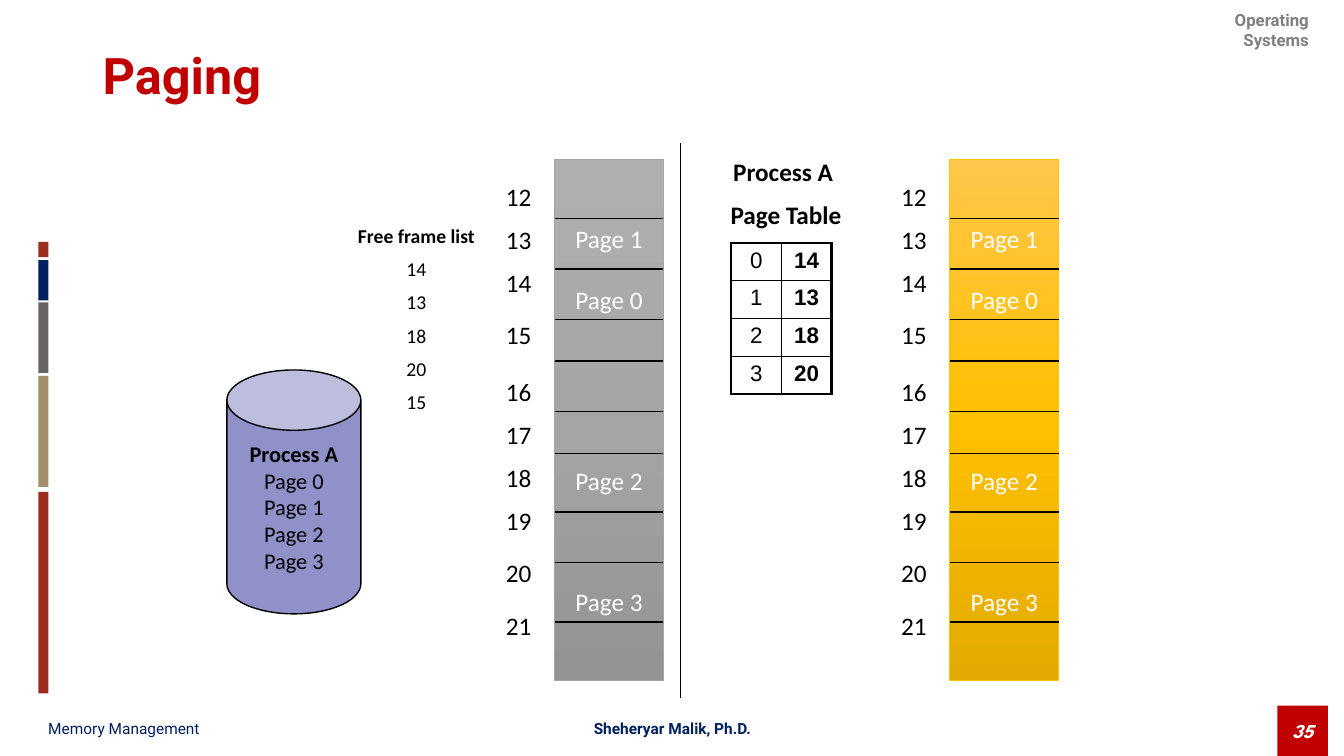
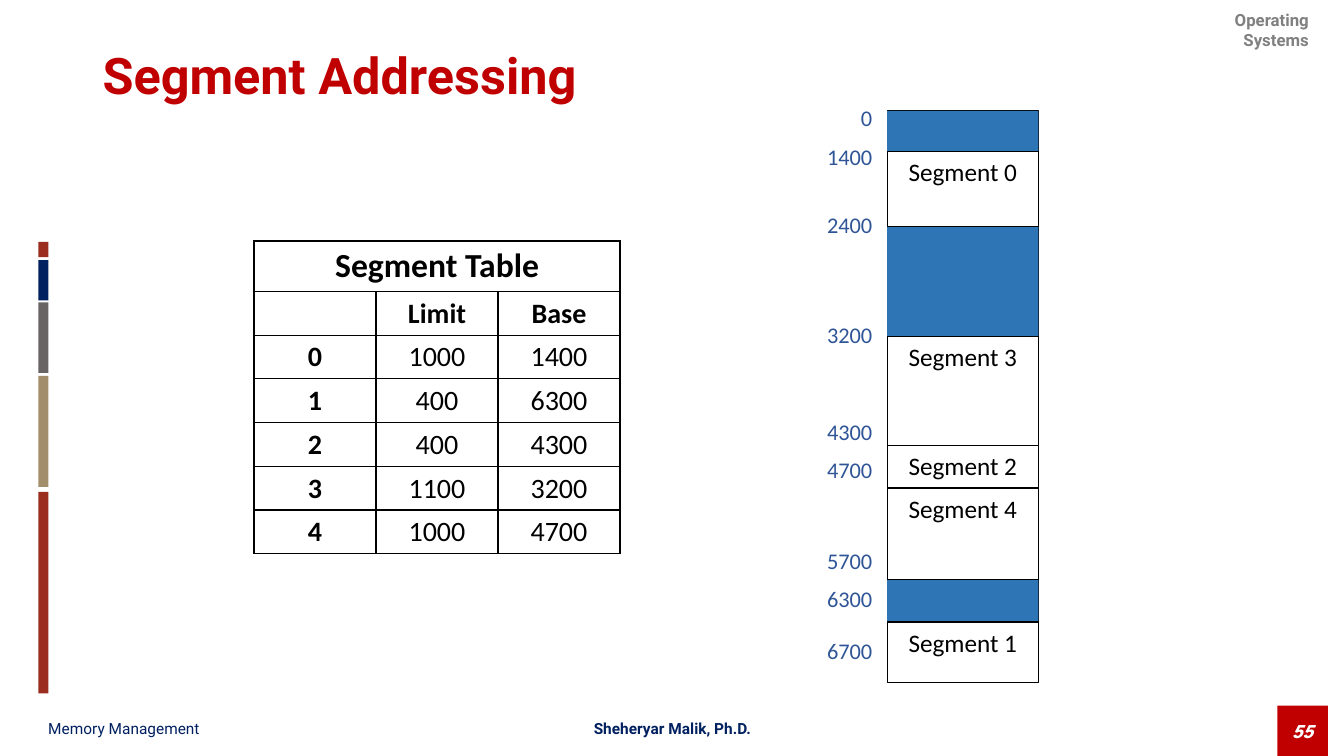
import copy

import pptx
import pptx.dml.color
import pptx.enum.shapes
import pptx.enum.text
import pptx.oxml
import pptx.oxml.ns
import pptx.util

PX = 9144
COLORS = {
    "black": "000000", "white": "FFFFFF", "red": "C00000", "navy": "002060",
    "header": "808080", "rust": "9B2D1F", "tan": "A28E6A", "slate": "696464",
    "disk": "9191C9", "hole": "2E75B6", "address": "2F5597",
    "gray_top": "AFAFAF", "gray": "A5A5A5", "gray_bottom": "939393",
    "gold_top": "FFC64B", "gold": "FFC000", "gold_bottom": "E3AB00",
}
ALIGN = pptx.enum.text.PP_ALIGN
ANCHOR = pptx.enum.text.MSO_ANCHOR
SHAPE = pptx.enum.shapes.MSO_SHAPE
qn = pptx.oxml.ns.qn

SIDE_BARS = [(240, 15, "rust"), (258, 40, "navy"), (300, 70, "slate"),
             (373, 110, "tan"), (488, 200, "rust")]
MEMORY_TOP, MEMORY_HEIGHT, MEMORY_WIDTH = 158, 517, 108
FRAME_EDGES = [217, 267, 317, 358, 408, 450, 508, 558, 617]
FRAME_NUMBERS = [("12", 195), ("13", 238), ("14", 280), ("15", 332), ("16", 388),
                 ("17", 431), ("18", 474), ("19", 516), ("20", 568), ("21", 620)]
LOADED_PAGES = [("Page 1", 237), ("Page 0", 297), ("Page 2", 477), ("Page 3", 597)]
PAGE_TABLE = [("0", "14"), ("1", "13"), ("2", "18"), ("3", "20")]
STACK_LEFT, STACK_WIDTH = 880, 150
SEGMENTS = [("", 110, 150), ("Segment 0", 150, 225), ("", 225, 334),
            ("Segment 3", 334, 442), ("Segment 2", 442, 484),
            ("Segment 4", 484, 575), ("", 575, 617), ("Segment 1", 617, 677)]
ADDRESSES = [("0", 117), ("1400", 155), ("2400", 223), ("3200", 332), ("4300", 428),
             ("4700", 466), ("5700", 556), ("6300", 594), ("6700", 645)]
SEGMENT_TABLE = [("Segment Table", "", ""), ("", "Limit", "Base"),
                 ("0", "1000", "1400"), ("1", "400", "6300"), ("2", "400", "4300"),
                 ("3", "1100", "3200"), ("4", "1000", "4700")]


def px(*lengths):
    return [pptx.util.Emu(n * PX) for n in lengths]


def rgb(name):
    return pptx.dml.color.RGBColor.from_string(COLORS[name])


def write(tf, text, size=18, font="Calibri", color="black", bold=False,
          heading=False, italic=False, align=ALIGN.LEFT, gap=0, spacing=None):
    for i, line in enumerate(text.split("\n")):
        p = tf.paragraphs[0] if i == 0 else tf.add_paragraph()
        p.alignment = align
        p.line_spacing = spacing
        if i and gap:
            p.space_before = pptx.util.Pt(gap)
        r = p.add_run()
        r.text = line
        r.font.name = font
        r.font.size = pptx.util.Pt(size)
        r.font.bold = bold or (heading and i == 0)
        r.font.italic = italic
        r.font.color.rgb = rgb(color)


def add_text(s, x, y, w, h, text, anchor=ANCHOR.TOP, **fmt):
    tf = s.shapes.add_textbox(*px(x, y, w, h)).text_frame
    tf.word_wrap = True
    tf.vertical_anchor = anchor
    write(tf, text, **fmt)


def add_labels(s, x, w, labels, **fmt):
    for text, center in labels:
        add_text(s, x, center - 20, w, 40, text, anchor=ANCHOR.MIDDLE, **fmt)


def add_box(s, x, y, w, h, fill=None, line=None, weight=1, kind=SHAPE.RECTANGLE,
            text="", **fmt):
    sp = s.shapes.add_shape(kind, *px(x, y, w, h))
    sp.shadow.inherit = False
    if fill:
        sp.fill.solid()
        sp.fill.fore_color.rgb = rgb(fill)
    if line:
        sp.line.color.rgb = rgb(line)
        sp.line.width = pptx.util.Pt(weight)
    else:
        sp.line.fill.background()
    if text:
        tf = sp.text_frame
        tf.word_wrap = False
        tf.vertical_anchor = ANCHOR.MIDDLE
        write(tf, text, align=ALIGN.CENTER, **fmt)
    return sp


def add_line(s, x1, y1, x2, y2):
    ln = s.shapes.add_connector(pptx.enum.shapes.MSO_CONNECTOR.STRAIGHT,
                                *px(x1, y1, x2, y2))
    ln.line.color.rgb = rgb("black")
    ln.line.width = pptx.util.Pt(1)
    ln._element.spPr.append(pptx.oxml.parse_xml(
        f'<a:effectLst {pptx.oxml.ns.nsdecls("a")}/>'))


def shade(sp, names):
    sp.fill.gradient()
    sp.fill.gradient_angle = 270
    stops = sp._element.spPr.find(".//" + qn("a:gsLst"))
    stops.append(copy.deepcopy(stops[0]))
    for stop, name, position in zip(sp.fill.gradient_stops, names, (0, 0.5, 1)):
        stop.color.rgb = rgb(name)
        stop.position = position


def set_borders(cell, weights):
    tcPr = cell._tc.get_or_add_tcPr()
    for i, (side, weight) in enumerate(zip("LRTB", weights)):
        tcPr.insert(i, pptx.oxml.parse_xml(
            f'<a:ln{side} {pptx.oxml.ns.nsdecls("a")} w="{pptx.util.Pt(weight)}">'
            f'<a:solidFill><a:srgbClr val="{COLORS["black"]}"/></a:solidFill>'
            f'</a:ln{side}>'))


def add_grid(s, x, y, col_width, row_heights, rows, cell_format, outer=1):
    n_rows, n_cols = len(rows), len(rows[0])
    tbl = s.shapes.add_table(n_rows, n_cols, *px(
        x, y, col_width * n_cols, sum(row_heights))).table
    tbl.first_row = tbl.horz_banding = False
    for col in tbl.columns:
        col.width = px(col_width)[0]
    for i, (row, height) in enumerate(zip(rows, row_heights)):
        tbl.rows[i].height = px(height)[0]
        for j, text in enumerate(row):
            cell = tbl.cell(i, j)
            cell.fill.background()
            cell.vertical_anchor = ANCHOR.TOP
            edges = (j == 0, j == n_cols - 1, i == 0, i == n_rows - 1)
            set_borders(cell, [outer if edge else 1 for edge in edges])
            if text:
                write(cell.text_frame, text, align=ALIGN.CENTER, **cell_format(i, j))
    return tbl


def add_slide(prs, title, number):
    s = prs.slides.add_slide(prs.slide_layouts[6])
    for y, height, color in SIDE_BARS:
        add_box(s, 38, y, 10, height, fill=color)
    add_text(s, 1208, 5, 100, 50, "Operating Systems", size=12, font="Roboto",
             color="header", bold=True, align=ALIGN.RIGHT)
    add_text(s, 92, 5, 1150, 145, title, anchor=ANCHOR.MIDDLE, size=36,
             font="Roboto", color="red", bold=True, spacing=0.9)
    footer = {"anchor": ANCHOR.MIDDLE, "size": 11, "font": "Roboto", "color": "navy"}
    add_text(s, 38, 706, 440, 33, "Memory Management", **footer)
    add_text(s, 447, 706, 440, 33, "Sheheryar Malik, Ph.D.", bold=True,
             align=ALIGN.CENTER, **footer)
    add_box(s, 1267, 700, 50, 50, fill="red", text=number, size=14,
            font="League Spartan", color="white", bold=True, italic=True)
    return s


def add_memory(s, x, tint):
    add_labels(s, x - 58, 50, FRAME_NUMBERS)
    bar = add_box(s, x, MEMORY_TOP, MEMORY_WIDTH, MEMORY_HEIGHT, line=tint, weight=0.5)
    shade(bar, (tint + "_top", tint, tint + "_bottom"))
    for y in FRAME_EDGES:
        add_line(s, x, y, x + MEMORY_WIDTH, y)
    add_labels(s, x, MEMORY_WIDTH, LOADED_PAGES, color="white", align=ALIGN.CENTER)


def add_segment_stack(s):
    top, bottom = SEGMENTS[0][1], SEGMENTS[-1][2]
    add_box(s, STACK_LEFT, top, STACK_WIDTH, bottom - top, fill="white", line="black")
    for name, start, end in SEGMENTS:
        area = (STACK_LEFT, start, STACK_WIDTH, end - start)
        if name:
            add_text(s, *area, name, align=ALIGN.CENTER)
        else:
            add_box(s, *area, fill="hole")
    for _, start, _ in SEGMENTS[1:]:
        add_line(s, STACK_LEFT, start, STACK_LEFT + STACK_WIDTH, start)


def build_paging(prs):
    s = add_slide(prs, "Paging", "35")
    add_box(s, 225, 367, 133, 242, fill="disk", line="black", kind=SHAPE.CAN,
            text="Process A\nPage 0\nPage 1\nPage 2\nPage 3", size=16,
            heading=True).adjustments[0] = 0.45
    add_line(s, 675, 142, 675, 692)
    add_text(s, 317, 217, 192, 210, "Free frame list\n14\n13\n18\n20\n15", size=14,
             heading=True, align=ALIGN.CENTER, gap=7)
    add_memory(s, 550, "gray")
    add_memory(s, 942, "gold")
    add_text(s, 692, 150, 175, 80, "Process A \nPage Table", bold=True,
             align=ALIGN.CENTER, gap=9)
    add_grid(s, 725, 241, 50, [37, 38, 38, 37], PAGE_TABLE, outer=2.25,
             cell_format=lambda i, j: {"size": 16, "font": "Arial", "bold": j == 1})


def build_segments(prs):
    s = add_slide(prs, "Segment Addressing", "55")
    add_segment_stack(s)
    add_labels(s, 775, 100, ADDRESSES, size=16, color="address", align=ALIGN.RIGHT)
    tbl = add_grid(s, 252, 239, 121, [50] + [43] * 6, SEGMENT_TABLE,
                   cell_format=lambda i, j: {"size": 20 if i else 24,
                                             "bold": i < 2 or j == 0})
    tbl.cell(0, 0).merge(tbl.cell(0, 2))


def main():
    prs = pptx.Presentation()
    prs.slide_width, prs.slide_height = px(1333, 750)
    build_paging(prs)
    build_segments(prs)
    prs.save("out.pptx")


if __name__ == "__main__":
    main()
